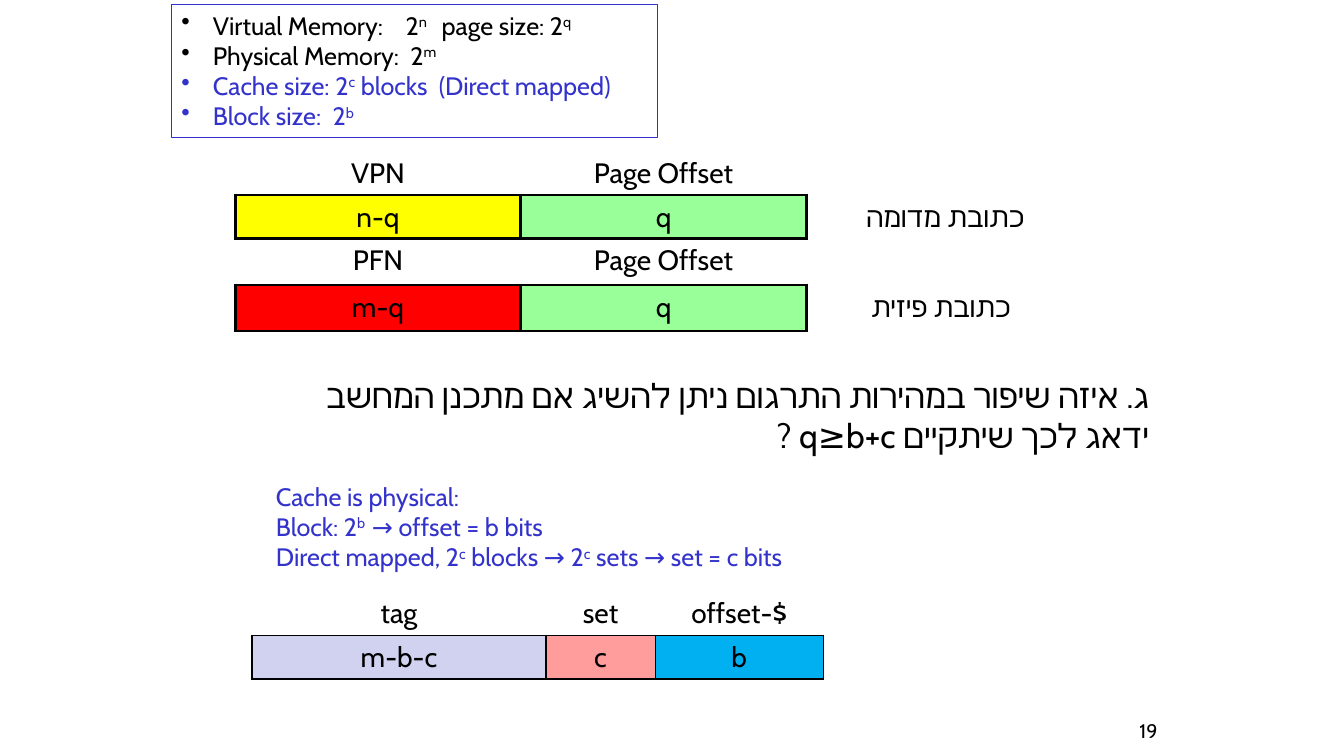
import lxml.etree
import pptx
import pptx.dml.color
import pptx.enum.shapes
import pptx.enum.text
import pptx.oxml.ns
import pptx.util

Pt = pptx.util.Pt
RGBColor = pptx.dml.color.RGBColor
ALIGN = pptx.enum.text.PP_ALIGN
ANCHOR = pptx.enum.text.MSO_ANCHOR
qn = pptx.oxml.ns.qn

BLACK = RGBColor(0x00, 0x00, 0x00)
BLUE = RGBColor(0x33, 0x33, 0xCC)
YELLOW = RGBColor(0xFF, 0xFF, 0x00)
RED = RGBColor(0xFF, 0x00, 0x00)
GREEN = RGBColor(0x99, 0xFF, 0x99)
LAVENDER = RGBColor(0xD1, 0xD1, 0xF0)
PINK = RGBColor(0xFF, 0x9D, 0x9D)
SKY = RGBColor(0x00, 0xB0, 0xF0)

FONT = "Cabin"
NO_STYLE = "{2D5ABB26-0587-4C30-8999-92F81FD0307C}"


class AddressSlide:
    def __init__(self, deck):
        self.slide = deck.slides.add_slide(deck.slide_layouts[5])
        self.shapes = self.slide.shapes

    def fill_paragraph(self, paragraph, text, size, color=BLACK, align=ALIGN.LEFT,
                       rtl=False, bullet=False):
        paragraph.alignment = align
        properties = paragraph._p.get_or_add_pPr()
        if rtl:
            properties.set("rtl", "1")
        if bullet:
            properties.set("marL", str(Pt(22.5)))
            properties.set("indent", str(-Pt(22.5)))
            lxml.etree.SubElement(properties, qn("a:buChar")).set("char", "•")
        for index, part in enumerate(text.split("^")):
            run = paragraph.add_run()
            run.text = part
            if index % 2:
                run._r.get_or_add_rPr().set("baseline", "30000")
        font = paragraph.font
        font.size = Pt(size)
        font.color.rgb = color
        font.name = FONT
        lxml.etree.SubElement(font._element, qn("a:cs")).set("typeface", FONT)

    def title(self, box, text):
        title = self.shapes.title
        title.left, title.top, title.width, title.height = map(Pt, box)
        title.text_frame.auto_size = pptx.enum.text.MSO_AUTO_SIZE.NONE
        title.text_frame.vertical_anchor = ANCHOR.MIDDLE
        self.fill_paragraph(title.text_frame.paragraphs[0], text, 24, align=ALIGN.RIGHT, rtl=True)

    def lines(self, frame, lines, size=18, **style):
        frame.word_wrap = True
        for index, (text, color) in enumerate(lines):
            paragraph = frame.add_paragraph() if index else frame.paragraphs[0]
            self.fill_paragraph(paragraph, text, size, color, **style)

    def text(self, box, lines, **style):
        self.lines(self.shapes.add_textbox(*map(Pt, box)).text_frame, lines, **style)

    def framed_list(self, box, lines):
        frame = self.shapes.add_shape(pptx.enum.shapes.MSO_SHAPE.RECTANGLE, *map(Pt, box))
        frame.shadow.inherit = False
        frame.fill.background()
        frame.line.color.rgb = BLUE
        frame.line.width = Pt(0.75)
        frame.text_frame.vertical_anchor = ANCHOR.TOP
        self.lines(frame.text_frame, lines, bullet=True)

    def border(self, cell, sides, width):
        properties = cell._tc.get_or_add_tcPr()
        for index, side in enumerate(sides):
            line = lxml.etree.Element(qn("a:ln" + side), w=str(Pt(width)))
            fill = lxml.etree.SubElement(line, qn("a:solidFill"))
            lxml.etree.SubElement(fill, qn("a:srgbClr")).set("val", str(BLACK))
            properties.insert(index, line)

    def address(self, left, top, widths, heights, fields, line_width):
        table = self.shapes.add_table(
            2, len(widths), Pt(left), Pt(top), Pt(sum(widths)), Pt(sum(heights))).table
        table.first_row = table.horz_banding = False
        table._tbl.tblPr.find(qn("a:tableStyleId")).text = NO_STYLE
        for row, height in zip(table.rows, heights):
            row.height = Pt(height)
        for column, (width, (label, bits, color)) in enumerate(zip(widths, fields)):
            table.columns[column].width = Pt(width)
            for row, text in enumerate((label, bits)):
                cell = table.cell(row, column)
                if text:
                    self.fill_paragraph(cell.text_frame.paragraphs[0], text, 20,
                                        align=ALIGN.CENTER, rtl=True)
                if row and color:
                    cell.fill.solid()
                    cell.fill.fore_color.rgb = color
                    self.border(cell, "LRTB", line_width)
                else:
                    cell.fill.background()
                    self.border(cell, "L" if row else "B" if text else "", line_width)


def main():
    deck = pptx.Presentation()
    deck.slide_width, deck.slide_height = Pt(960), Pt(540)
    page = AddressSlide(deck)

    page.title((180, 266.5, 648, 60),
               "ג. איזה שיפור במהירות התרגום ניתן להשיג אם מתכנן המחשב ידאג לכך שיתקיים q≥b+c ?")
    page.text((804, 510, 30, 24), [("19", BLACK)], size=14, align=ALIGN.RIGHT)

    page_offset = ("Page Offset", "q", GREEN)
    page.address(168, 170.5, (204, 204, 192), (33, 33),
                 [("PFN", "m-q", RED), page_offset, ("", "כתובת פיזית", None)], 2.25)
    page.address(168, 108, (204, 204, 198), (28, 31),
                 [("VPN", "n-q", YELLOW), page_offset, ("", "כתובת מדומה", None)], 2.25)

    page.framed_list((122.5, 3.5, 347, 94.5), [
        ("Virtual Memory:    2^n ^  page size: 2^q", BLACK),
        ("Physical Memory:  2^m", BLACK),
        ("Cache size: 2^c^ blocks  (Direct mapped)", BLUE),
        ("Block size:  2^b", BLUE),
    ])
    page.text((190, 340, 416, 94.5), [
        ("Cache is physical:", BLUE),
        ("Block: 2^b  ^→ offset = b bits", BLUE),
        ("Direct mapped, 2^c^ blocks → 2^c^ sets → set = c bits", BLUE),
    ])
    page.address(180, 422.5, (210, 78, 120), (24, 24),
                 [("tag", "m-b-c", LAVENDER), ("set", "c", PINK), ("$-offset", "b", SKY)], 1)

    deck.save("out.pptx")


if __name__ == "__main__":
    main()
